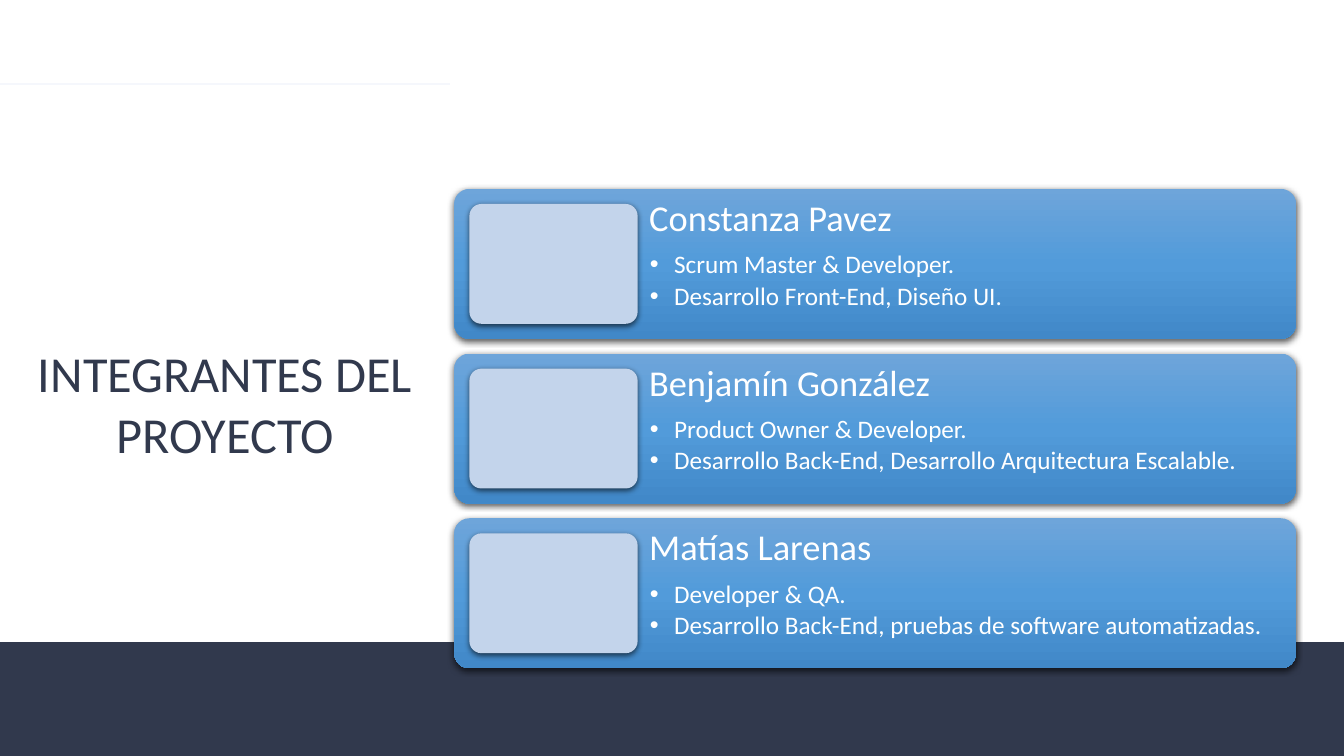
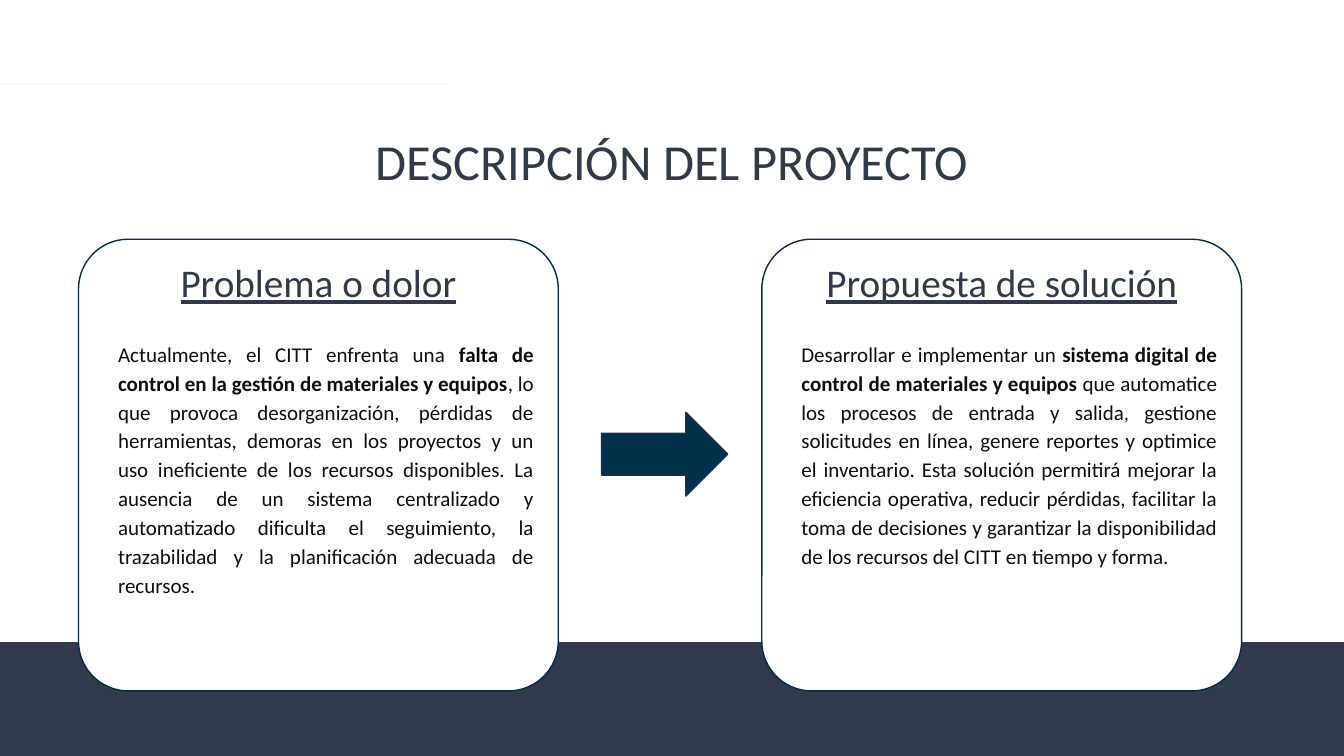
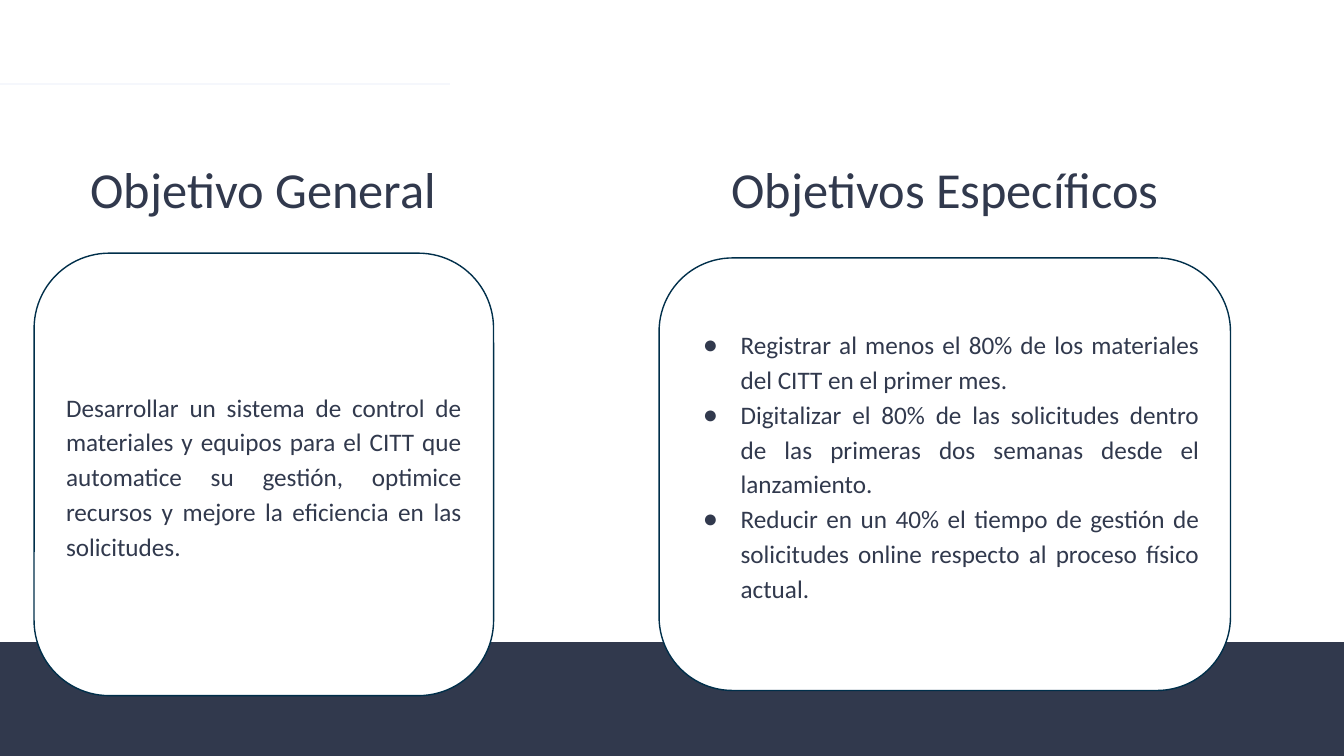
"""Build three project slides: team, description and objectives."""
import copy

import lxml.etree
import pptx
import pptx.dml.color
import pptx.enum.shapes
import pptx.enum.text
import pptx.oxml.ns
import pptx.util

Cm = pptx.util.Cm
Pt = pptx.util.Pt
qn = pptx.oxml.ns.qn
SHAPE = pptx.enum.shapes.MSO_SHAPE
ALIGN = pptx.enum.text.PP_ALIGN
ANCHOR = pptx.enum.text.MSO_ANCHOR
COLORS = {
    name: pptx.dml.color.RGBColor.from_string(value)
    for name, value in {
        "navy": "31394D", "white": "FFFFFF", "rule": "F5F7FC", "outline": "002F4A",
        "arrow_edge": "1C3052", "text": "0E0E0E", "photo": "C3D4EB",
        "sky_top": "6EA5DA", "sky_middle": "529BDA", "sky_bottom": "4188C8",
    }.items()
}


def add_panel(slide, kind, place, fill, line=None, corner=None):
    """Add a flat shape at a place given in centimetres."""
    panel = slide.shapes.add_shape(kind, *map(Cm, place))
    panel.shadow.inherit = False
    panel.fill.solid()
    panel.fill.fore_color.rgb = COLORS[fill]
    if line:
        panel.line.color.rgb = COLORS[line]
        panel.line.width = Pt(1)
    else:
        panel.line.fill.background()
    if corner:
        panel.adjustments[0] = corner
    return panel


def write(para, text, size, color, align=ALIGN.LEFT, spacing=1.0, before=0,
          left=0, hanging=0, bullet=None):
    """Fill a paragraph; every second part between asterisks is bold."""
    para.alignment = align
    para.line_spacing = spacing
    para.space_before = Pt(before)
    for number, part in enumerate(text.split("*")):
        span = para.add_run()
        span.text = part
        span.font.name = "Calibri"
        span.font.size = Pt(size)
        span.font.bold = number % 2 == 1
        span.font.color.rgb = COLORS[color]
    settings = para._p.get_or_add_pPr()
    settings.set("marL", str(Cm(left)))
    settings.set("indent", str(-Cm(hanging)))
    if bullet:
        lxml.etree.SubElement(settings, qn("a:buFont")).set("typeface", "Arial")
        lxml.etree.SubElement(settings, qn("a:buChar")).set("char", bullet)


deck = pptx.Presentation()
deck.slide_width = Cm(33.87)
deck.slide_height = Cm(19.05)
title_only, title_and_content = deck.slide_layouts[5], deck.slide_layouts[1]
team = deck.slides.add_slide(title_only)
description = deck.slides.add_slide(title_only)
objectives = deck.slides.add_slide(title_and_content)

band = add_panel(team, SHAPE.RECTANGLE, (0, 16.18, 33.87, 2.87), "navy")
rule = team.shapes.add_connector(
    pptx.enum.shapes.MSO_CONNECTOR.STRAIGHT, 0, Cm(2.11), Cm(11.35), Cm(2.11))
rule.line.color.rgb = COLORS["rule"]
rule.line.width = Pt(1.25)
lxml.etree.SubElement(rule.element.spPr, qn("a:effectLst"))
for number, shared in enumerate((band, rule)):
    shared.element.xpath("./*/p:cNvPr")[0].set("id", str(101 + number))
    deck.slide_master.shapes.element.insert(2 + number, shared.element)

specific_heading = objectives.shapes.add_textbox(0, 0, 0, 0)
headings = [
    (team.shapes.title, "INTEGRANTES DEL PROYECTO", (0.66, 8.48, 10.03, 3.33)),
    (description.shapes.title, "DESCRIPCIÓN DEL PROYECTO", (0, 3.15, 33.87, 1.8)),
    (objectives.shapes.title, "Objetivo General", (0, 3.84, 13.28, 1.8)),
    (specific_heading, "Objetivos Específicos", (14.55, 3.84, 18.54, 1.8)),
]
for box, text, place in headings:
    box.left, box.top, box.width, box.height = map(Cm, place)
    frame = box.text_frame
    frame.word_wrap = True
    frame.auto_size = pptx.enum.text.MSO_AUTO_SIZE.NONE
    frame.vertical_anchor = ANCHOR.MIDDLE
    write(frame.paragraphs[0], text, 36, "navy", ALIGN.CENTER)

members = [
    ("Constanza Pavez", "Scrum Master & Developer.", "Desarrollo Front-End, Diseño UI."),
    ("Benjamín González", "Product Owner & Developer.",
     "Desarrollo Back-End, Desarrollo Arquitectura Escalable."),
    ("Matías Larenas", "Developer & QA.",
     "Desarrollo Back-End, pruebas de software automatizadas."),
]
for row, (name, role, work) in enumerate(members):
    top = 4.76 + row * 4.15
    card = add_panel(team, SHAPE.ROUNDED_RECTANGLE, (11.45, top, 21.21, 3.78),
                     "sky_middle", corner=0.1)
    card.fill.gradient()
    card.fill.gradient_angle = 270
    stops = card.element.spPr.find(".//" + qn("a:gsLst"))
    stops.append(copy.deepcopy(stops[0]))
    for stop, position, color in zip(card.fill.gradient_stops, (0, 0.5, 1),
                                     ("sky_top", "sky_middle", "sky_bottom")):
        stop.position = position
        stop.color.rgb = COLORS[color]
    photo = add_panel(team, SHAPE.ROUNDED_RECTANGLE, (11.83, top + 0.38, 4.24, 3.02),
                      "photo", corner=0.1)
    for panel in (card, photo):
        effects = panel.element.spPr.find(qn("a:effectLst"))
        shadow = lxml.etree.SubElement(
            effects, qn("a:outerShdw"), blurRad=str(Pt(4.5)), dist=str(Pt(1.5)),
            dir="5400000", algn="ctr", rotWithShape="0")
        tint = lxml.etree.SubElement(shadow, qn("a:srgbClr"), val="000000")
        lxml.etree.SubElement(tint, qn("a:alpha"), val="63000")
    box = team.shapes.add_textbox(Cm(16.08), Cm(top), Cm(16.59), Cm(3.78))
    frame = box.text_frame
    frame.word_wrap = True
    frame.margin_left = frame.margin_right = Cm(0.28)
    frame.margin_top = frame.margin_bottom = Cm(0.28)
    write(frame.paragraphs[0], name, 26, "white", spacing=0.9)
    for text, before in ((role, 9.1), (work, 3)):
        write(frame.add_paragraph(), text, 18, "white", spacing=0.9, before=before,
              left=0.63, hanging=0.61, bullet="•")

summaries = [
    (1.98, "Problema o dolor",
     "Actualmente, el CITT enfrenta una *falta de control en la gestión de materiales y "
     "equipos*, lo que provoca desorganización, pérdidas de herramientas, demoras en los "
     "proyectos y un uso ineficiente de los recursos disponibles. La ausencia de un sistema "
     "centralizado y automatizado dificulta el seguimiento, la trazabilidad y la "
     "planificación adecuada de recursos."),
    (19.2, "Propuesta de solución",
     "Desarrollar e implementar un *sistema digital de control de materiales y equipos* que "
     "automatice los procesos de entrada y salida, gestione solicitudes en línea, genere "
     "reportes y optimice el inventario. Esta solución permitirá mejorar la eficiencia "
     "operativa, reducir pérdidas, facilitar la toma de decisiones y garantizar la "
     "disponibilidad de los recursos del CITT en tiempo y forma."),
]
for left, heading, text in summaries:
    card = add_panel(description, SHAPE.ROUNDED_RECTANGLE, (left, 6.03, 12.09, 11.38),
                     "white", "outline", 0.11)
    frame = card.text_frame
    frame.vertical_anchor = ANCHOR.TOP
    write(frame.paragraphs[0], heading, 28, "navy", ALIGN.CENTER)
    frame.paragraphs[0].runs[0].font.underline = True
    write(frame.add_paragraph(), text, 15, "text", ALIGN.JUSTIFY, 1.15, 22.5, left=0.38)
add_panel(description, SHAPE.RIGHT_ARROW, (15.16, 10.39, 3.18, 2.11), "outline", "arrow_edge")

general_card = add_panel(objectives, SHAPE.ROUNDED_RECTANGLE, (0.86, 6.38, 11.58, 11.15),
                         "white", "outline", 0.17)
general_card.text_frame.vertical_anchor = ANCHOR.MIDDLE
write(general_card.text_frame.paragraphs[0],
      "Desarrollar un sistema de control de materiales y equipos para el CITT que automatice "
      "su gestión, optimice recursos y mejore la eficiencia en las solicitudes.",
      18, "navy", ALIGN.JUSTIFY, 1.15)

add_panel(objectives, SHAPE.ROUNDED_RECTANGLE, (16.61, 6.5, 14.4, 10.9),
          "white", "outline", 0.17)
goals = objectives.placeholders[1]
goals.left, goals.top, goals.width, goals.height = map(Cm, (17.14, 7.03, 13.34, 9.84))
objectives.shapes.element.append(goals.element)
frame = goals.text_frame
frame.auto_size = pptx.enum.text.MSO_AUTO_SIZE.NONE
frame.vertical_anchor = ANCHOR.MIDDLE
frame.margin_bottom = Cm(0.63)
goal_texts = [
    "Registrar al menos el 80% de los materiales del CITT en el primer mes.",
    "Digitalizar el 80% de las solicitudes dentro de las primeras dos semanas desde el "
    "lanzamiento.",
    "Reducir en un 40% el tiempo de gestión de solicitudes online respecto al proceso físico "
    "actual.",
]
for number, text in enumerate(goal_texts):
    para = frame.add_paragraph() if number else frame.paragraphs[0]
    write(para, text, 18, "navy", ALIGN.JUSTIFY, 1.15, left=1.27, hanging=0.95, bullet="●")

deck.save("out.pptx")
